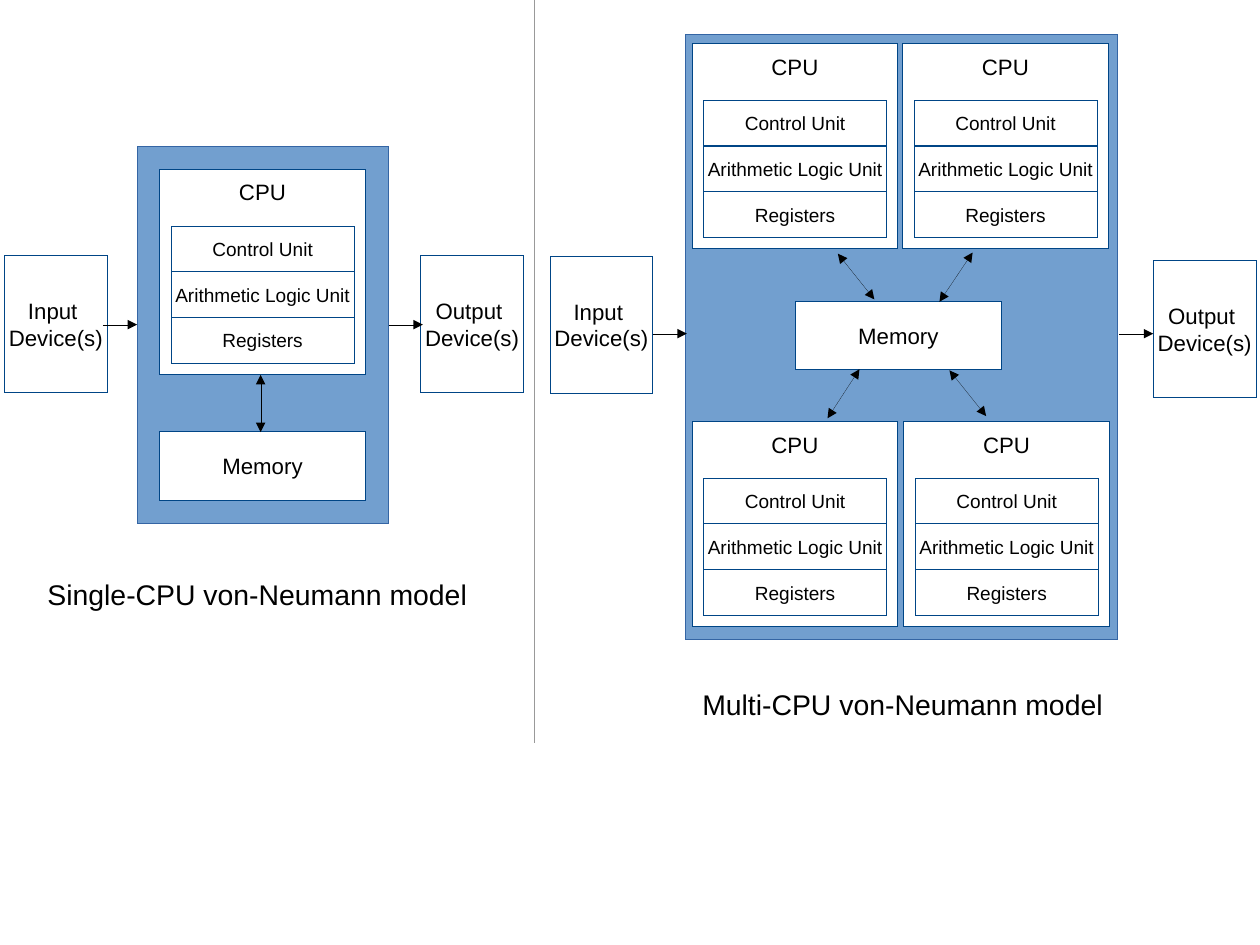
import pptx
import pptx.util
import pptx.dml.color
import pptx.enum.shapes
import pptx.enum.text
import pptx.oxml.ns
from lxml import etree

Pt = pptx.util.Pt
RGBColor = pptx.dml.color.RGBColor
ANCHOR = pptx.enum.text.MSO_ANCHOR
ALIGN = pptx.enum.text.PP_ALIGN
qn = pptx.oxml.ns.qn

WHITE = RGBColor(0xFF, 0xFF, 0xFF)
BLACK = RGBColor(0, 0, 0)
GREY = RGBColor(0x99, 0x99, 0x99)
BLUE = RGBColor(0x72, 0x9F, 0xCF)
BLUE_EDGE = RGBColor(0x34, 0x65, 0xA4)
NAVY = RGBColor(0x00, 0x45, 0x86)

CPU_SIZE = 129.6
MEMORY_H = 43.2
DEVICE_W, DEVICE_H = 64.8, 86.4
ARROW_LEN = 21.6
UNITS = ("Control Unit", "Arithmetic Logic Unit", "Registers")


def add_text(tf, lines, size, align):
    """Fill a text frame with one paragraph per line."""
    tf.word_wrap = False
    for i, line in enumerate(lines):
        p = tf.paragraphs[0] if i == 0 else tf.add_paragraph()
        p.alignment = align
        r = p.add_run()
        r.text = line
        r.font.name, r.font.size = "Arial", Pt(size)
        r.font.color.rgb = BLACK


def set_hairline(sp, color):
    """Colour an outline, write its zero width and return its element."""
    sp.line.color.rgb = color
    ln = sp.element.spPr.find(qn("a:ln"))
    ln.set("w", "0")
    return ln


def add_box(s, x, y, w, h, lines=(), size=14, fill=WHITE, edge=NAVY):
    """Draw a hairline rectangle with centred text."""
    sp = s.shapes.add_shape(pptx.enum.shapes.MSO_SHAPE.RECTANGLE,
                            Pt(x), Pt(y), Pt(w), Pt(h))
    sp.shadow.inherit = False
    sp.fill.solid()
    sp.fill.fore_color.rgb = fill
    set_hairline(sp, edge)
    sp.text_frame.vertical_anchor = ANCHOR.MIDDLE
    add_text(sp.text_frame, lines, size, ALIGN.CENTER)
    return sp


def add_line(s, x1, y1, x2, y2, color=BLACK, ends=()):
    """Draw a hairline with triangles at the given ends."""
    c = s.shapes.add_connector(pptx.enum.shapes.MSO_CONNECTOR.STRAIGHT,
                               Pt(x1), Pt(y1), Pt(x2), Pt(y2))
    ln = set_hairline(c, color)
    for end in ends:
        etree.SubElement(ln, qn("a:" + end), type="triangle")
    etree.SubElement(c.element.spPr, qn("a:effectLst"))


def add_cpu(s, x, y):
    """Draw a CPU with its three stacked units."""
    sp = add_box(s, x, y, CPU_SIZE, CPU_SIZE, ["CPU"])
    sp.text_frame.vertical_anchor = ANCHOR.TOP
    sp.text_frame.margin_top = Pt(6)
    for i, unit in enumerate(UNITS):
        add_box(s, x + 7.3, y + 35.9 + i * 28.8, 115.2, 28.8, [unit], 12)


def add_machine(s, x, y, w, h, cpus, memory, links):
    """Draw a machine; parts and links are offsets from its corner."""
    add_box(s, x, y, w, h, fill=BLUE, edge=BLUE_EDGE)
    for dx, dy in cpus:
        add_cpu(s, x + dx, y + dy)
    add_box(s, x + memory[0], y + memory[1], CPU_SIZE, MEMORY_H, ["Memory"])
    for x1, y1, x2, y2 in links:
        add_line(s, x + x1, y + y1, x + x2, y + y2,
                 ends=("headEnd", "tailEnd"))


def add_devices(s, x, w, arrow_y, devices):
    """Draw the devices beside a machine at x, with an arrow for each."""
    arrows = (x - ARROW_LEN, x + w)
    for (name, left, top), start in zip(devices, arrows):
        add_box(s, left, top, DEVICE_W, DEVICE_H, [name + " ", "Device(s)"])
        add_line(s, start, arrow_y, start + ARROW_LEN, arrow_y,
                 ends=("tailEnd",))


def add_caption(s, x, y, w, text):
    """Write the name of a model."""
    tb = s.shapes.add_textbox(Pt(x), Pt(y), Pt(w), Pt(29.5))
    add_text(tb.text_frame, [text], 17.9, ALIGN.LEFT)


def add_single_model(s):
    """Draw the model with one CPU."""
    x, w = 86.4, 158.4
    add_machine(s, x, 92.2, w, 237.6, [(14.2, 14.3)], (14.2, 179.7),
                [(77.8, 144, 77.8, 180)])
    add_devices(s, x, w, 204.5,
                [("Input", 2.8, 161), ("Output", 265, 161)])
    add_caption(s, 22.8, 360, 279.4, "Single-CPU von-Neumann model")


def add_multi_model(s):
    """Draw the model with four CPUs around a shared memory."""
    x, w = 431.7, 272.2
    cpus = [(4.3, 5.7), (136.9, 5.7), (4.3, 243.8), (137.6, 243.8)]
    links = [(96.1, 138.2, 119.1, 167), (181, 137.5, 160.1, 168.5),
             (109.7, 211, 89.6, 241.9), (166.4, 211.7, 189.5, 240.5)]
    add_machine(s, x, 21.6, w, 381.6, cpus, (69.4, 168.3), links)
    add_devices(s, x + 1, w, 210.2,
                [("Input", 346.5, 161.4), ("Output", 726.5, 164)])
    add_caption(s, 435.3, 429.1, 267.8, "Multi-CPU von-Neumann model")


prs = pptx.Presentation()
prs.slide_width, prs.slide_height = Pt(793.7), Pt(595.28)
s = prs.slides.add_slide(prs.slide_layouts[6])
add_single_model(s)
add_multi_model(s)
add_line(s, 337, 0, 337, 468, GREY)
prs.save("out.pptx")
